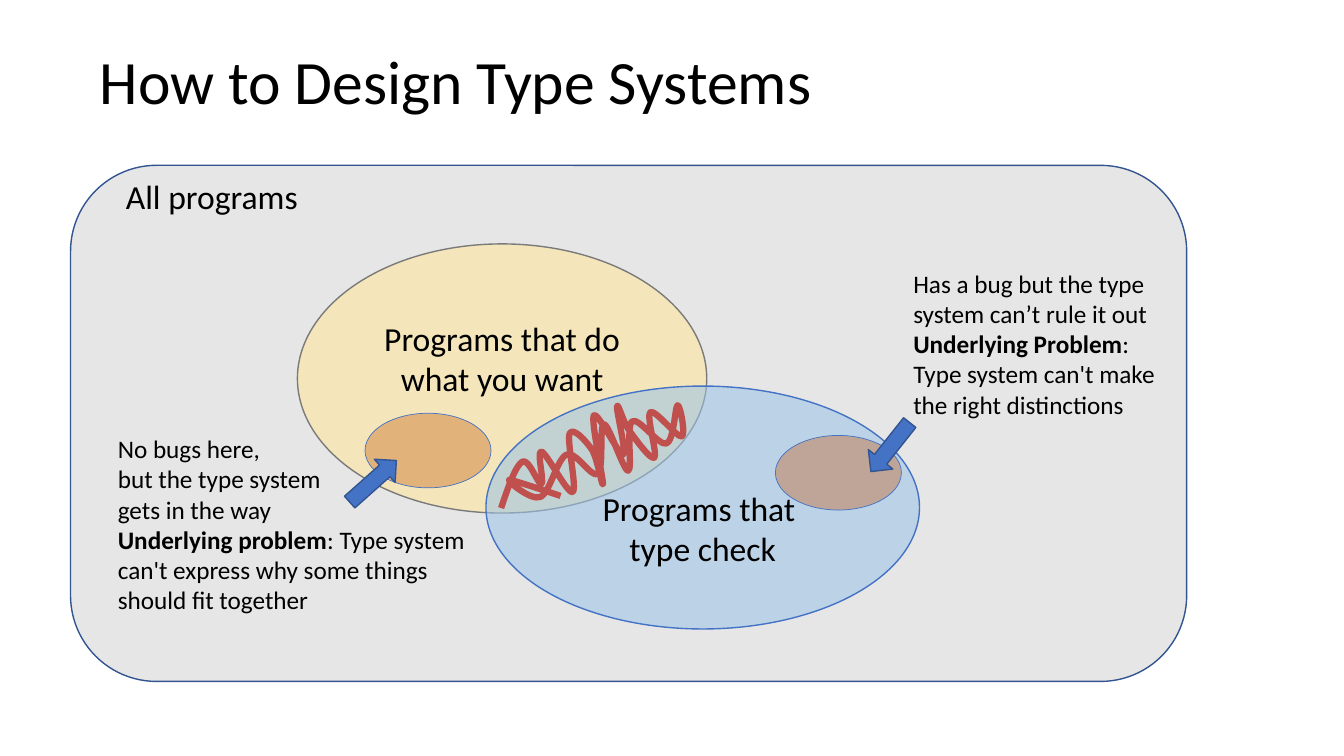
from dataclasses import dataclass

from lxml.etree import SubElement
from pptx import Presentation
from pptx.dml.color import RGBColor
from pptx.enum.shapes import MSO_SHAPE
from pptx.enum.text import MSO_ANCHOR, PP_ALIGN
from pptx.oxml.ns import qn
from pptx.util import Pt

PX = 9144  # EMU in one px, at 100 px to the inch


@dataclass(frozen=True)
class Theme:
    font: str = "Calibri"
    ink: str = "000000"
    panel: str = "E7E6E6"
    edge: str = "325491"
    gray: str = "7A7A7A"
    blue: str = "4472C4"
    gold: str = "FFE699"
    sky: str = "9DC3E6"
    rust: str = "C55A11"
    red: str = "C0504D"
    head: int = 44
    label: int = 24
    note: int = 18


THEME = Theme()

# Knots of the smooth scribble, relative to the panel, and the point it comes from
LEAD = (406, 420)
KNOTS = [(427, 340), (448, 294), (467, 316), (467, 284), (498, 324), (495, 266),
         (517, 282), (528, 316), (519, 248), (548, 287), (542, 239), (554, 263),
         (579, 290), (575, 245), (606, 269), (602, 238), (591, 276), (557, 254),
         (553, 303), (529, 257), (523, 306), (492, 287), (466, 329), (435, 312),
         (486, 328)]


def emu(*sizes):
    return [round(size * PX) for size in sizes]


def style(par, size):
    par.font.name = THEME.font
    par.font.size = Pt(size)
    par.font.color.rgb = RGBColor.from_string(THEME.ink)


def stroke(shape, color, width):
    shape.shadow.inherit = False
    shape.line.color.rgb = RGBColor.from_string(color)
    shape.line.width = Pt(width)


def form(slide, kind, box, fill, line, width=1, alpha=100, turn=0):
    shape = slide.shapes.add_shape(kind, *emu(*box))
    shape.fill.solid()
    shape.fill.fore_color.rgb = RGBColor.from_string(fill)
    if alpha < 100:
        color = shape._element.spPr.find(qn("a:solidFill"))[0]
        SubElement(color, qn("a:alpha")).set("val", str(alpha * 1000))
    stroke(shape, line, width)
    shape.rotation = turn
    return shape


def write(frame, lines, size, align=PP_ALIGN.LEFT):
    """Each line is plain text, or a pair of bold lead and plain rest."""
    for num, line in enumerate(lines):
        par = frame.add_paragraph() if num else frame.paragraphs[0]
        if isinstance(line, tuple):
            par.text, rest = line
            par.runs[0].font.bold = True
            par.add_run().text = rest
        else:
            par.text = line
        par.alignment = align
        style(par, size)


def note(slide, box, lines, size, wrap=True):
    frame = slide.shapes.add_textbox(*emu(*box)).text_frame
    frame.word_wrap = wrap
    write(frame, lines, size)


def bend(shape, lead, knots):
    """Turn the straight segments between the knots into smooth curves."""
    left, top = map(min, zip(*knots))
    route = [lead, *knots, knots[-1]]
    steps = list(shape._element.iter(qn("a:lnTo")))
    for step, a, b, c, d in zip(steps, route, route[1:], route[2:], route[3:]):
        out = [q + (r - p) / 6 for p, q, r in zip(a, b, c)]
        back = [q - (r - p) / 6 for p, q, r in zip(b, c, d)]
        if c == d:
            back = c
        curve = SubElement(step.getparent(), qn("a:cubicBezTo"))
        for x, y in (out, back, c):
            spot = SubElement(curve, qn("a:pt"))
            for key, value in zip("xy", emu(x - left, y - top)):
                spot.set(key, str(value))
        step.getparent().remove(step)


def title(slide, box, text):
    head = slide.shapes.title
    head.left, head.top, head.width, head.height = emu(*box)
    frame = head.text_frame
    frame.vertical_anchor = MSO_ANCHOR.MIDDLE
    write(frame, [text], THEME.head)
    frame.paragraphs[0].line_spacing = 0.9


def venn(slide, box):
    left, top, wide, high = box

    def at(x, y, w, h):
        return left + x, top + y, w, h

    def oval(place, fill, line, lines, inset):
        shape = form(slide, MSO_SHAPE.OVAL, place, fill, line, alpha=57)
        frame = shape.text_frame
        frame.word_wrap = True
        frame.vertical_anchor = MSO_ANCHOR.MIDDLE
        frame.margin_top, frame.margin_bottom = emu(*inset)
        write(frame, lines, THEME.label, PP_ALIGN.CENTER)

    def spot(x, y):
        form(slide, MSO_SHAPE.OVAL, at(x, y, 125, 74), THEME.rust, THEME.blue,
             0.5, alpha=37)

    # Panel and the two overlapping sets
    form(slide, MSO_SHAPE.ROUNDED_RECTANGLE, box, THEME.panel, THEME.edge)
    oval(at(225, 78, 406, 267), THEME.gold, THEME.gray,
         ["Programs that do what you want"], (5, 46))
    oval(at(412, 219, 430, 241), THEME.sky, THEME.blue,
         ["Programs that ", "type check"], (46, 5))
    note(slide, at(45, 6, 200, 50), ["All programs"], THEME.label, wrap=False)

    # Problem spots with their notes
    spot(292, 246)
    note(slide, at(37, 261, 372, 192),
         ["No bugs here, \vbut the type system", "gets in the way",
          ("Underlying problem",
           ": Type system can't express why some things"),
          "should fit together"], THEME.note)
    spot(699, 268)
    note(slide, at(826, 97, 263, 162),
         ["Has a bug but the type system can’t rule it out",
          ("Underlying Problem",
           ": Type system can't make the right distinctions")], THEME.note)

    # Scribble over the shared part
    points = [emu(left + x, top + y) for x, y in KNOTS]
    pen = slide.shapes.build_freeform(*points[0])
    pen.add_line_segments(points[1:], close=False)
    mark = pen.convert_to_shape()
    bend(mark, LEAD, KNOTS)
    mark.fill.background()
    stroke(mark, THEME.red, 4.5)

    # Arrows from the notes to the spots
    for x, y, turn in [(782, 264, 128.4), (269, 298, 318.3)]:
        form(slide, MSO_SHAPE.RIGHT_ARROW, at(x, y, 62, 31), THEME.blue,
             THEME.edge, turn=turn)


def main():
    deck = Presentation()
    deck.slide_width, deck.slide_height = emu(1333, 750)
    slide = deck.slides.add_slide(deck.slide_layouts[5])
    title(slide, (89, 12, 1133, 144), "How to Design Type Systems")
    venn(slide, (70, 164, 1107, 512))
    deck.save("out.pptx")


if __name__ == "__main__":
    main()
